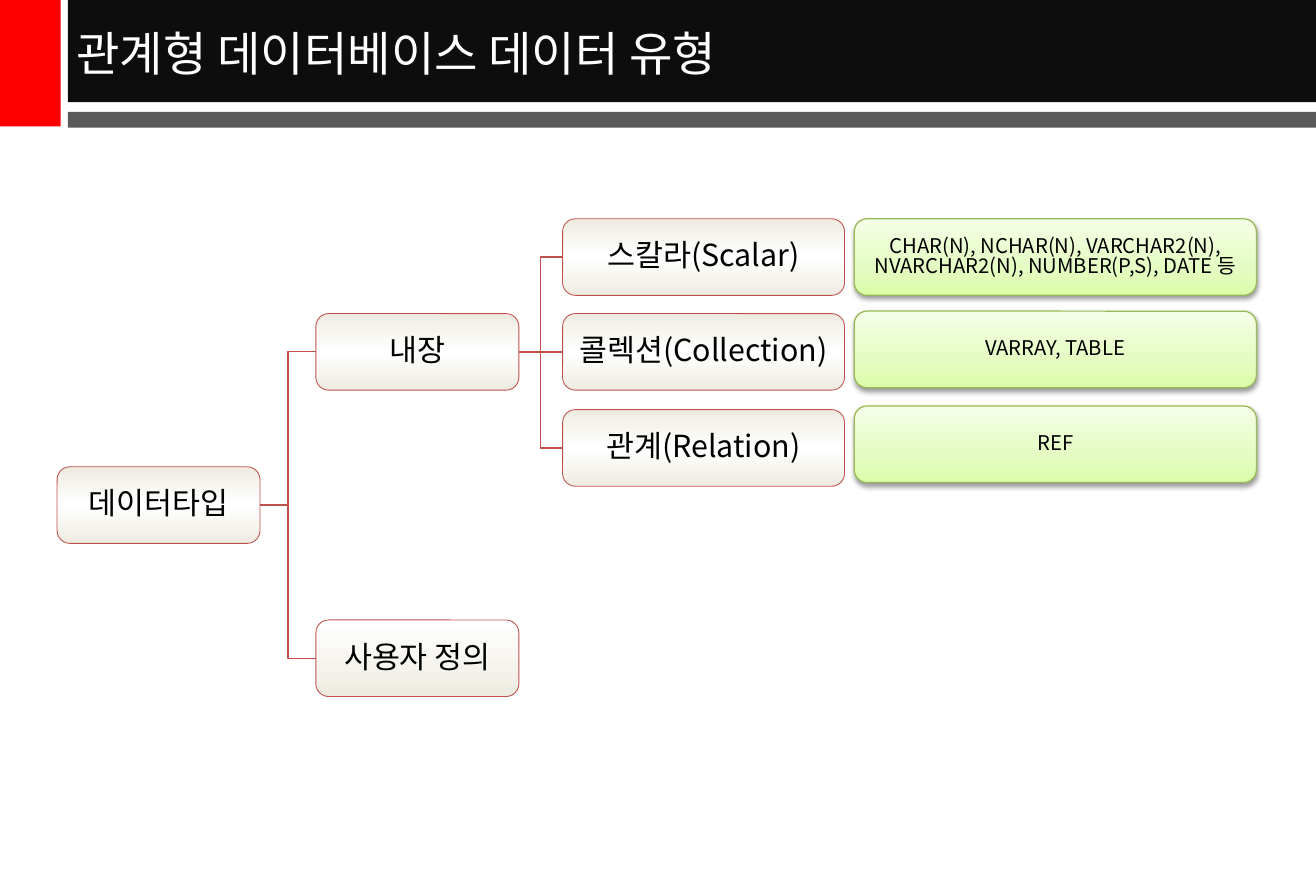
from lxml import etree
from pptx import Presentation
from pptx.dml.color import RGBColor
from pptx.enum.shapes import MSO_CONNECTOR as Link, MSO_SHAPE as Shape
from pptx.enum.text import MSO_ANCHOR as Anchor, PP_ALIGN as Align
from pptx.oxml.ns import qn
from pptx.util import Inches, Pt

FONT = "Noto Sans CJK KR"
RED, GREEN = "C0504D", "98B955"
BEIGE_BAND = [(0, "EEECE1"), (50, "FFFFFF"), (100, "EEECE1")]
BEIGE_FADE = [(0, "FFFFFF"), (100, "EEECE1")]
GREEN_FADE = [(0, "DAFDA7"), (35, "E4FCC2"), (100, "F5FFE7")]
rgb = RGBColor.from_string


def write(frame, text, size=18, color="000000", align=Align.CENTER, spacing=0.9):
    frame.vertical_anchor = Anchor.MIDDLE
    frame.text = text
    for para in frame.paragraphs:
        para.alignment = align
        para.line_spacing = spacing
        for span in para.runs:
            span.font.size = Pt(size)
            span.font.name = FONT
            span.font.color.rgb = rgb(color)
            etree.SubElement(span.font._element, qn("a:ea"), typeface=FONT)


def add_box(text, left, top, width, stops, angle, line, line_width, **text_format):
    box = slide.shapes.add_shape(Shape.ROUNDED_RECTANGLE, Inches(left), Inches(top),
                                 Inches(width), Inches(0.63))
    box.shadow.inherit = False
    box.line.color.rgb = rgb(line)
    box.line.width = Pt(line_width)
    box.fill.gradient()
    gradient = box._element.spPr.find(qn("a:gradFill"))
    gradient.find(qn("a:lin")).set("ang", str(angle * 60000))
    stop_list = gradient.find(qn("a:gsLst"))
    stop_list.clear()
    for position, color in stops:
        stop = etree.SubElement(stop_list, qn("a:gs"), pos=str(position * 1000))
        etree.SubElement(stop, qn("a:srgbClr"), val=color)
    frame = box.text_frame
    frame.margin_left = frame.margin_right = frame.margin_top = frame.margin_bottom = 0
    frame.word_wrap = False
    write(frame, text, **text_format)
    return box


deck = Presentation()
deck.slide_width, deck.slide_height = Inches(10.83), Inches(7.28)
slide = deck.slides.add_slide(deck.slide_layouts[5])

# Header bars
for left, top, width, height, color in [(0, 0, 0.5, 1.04, "FF0000"),
                                        (0.56, 0, 10.27, 0.84, "0D0D0D"),
                                        (0.56, 0.92, 10.27, 0.13, "595959")]:
    bar = slide.shapes.add_shape(Shape.RECTANGLE, Inches(left), Inches(top),
                                 Inches(width), Inches(height))
    bar.shadow.inherit = False
    bar.fill.solid()
    bar.fill.fore_color.rgb = rgb(color)
    bar.line.fill.background()

# Title, raised above the bars
title = slide.shapes.title
title.left, title.top = Inches(0.53), Inches(0.02)
title.width, title.height = Inches(10.3), Inches(0.82)
write(title.text_frame, "관계형 데이터베이스 데이터 유형", size=28, color="FFFFFF",
      align=Align.LEFT, spacing=1.0)
slide.shapes._spTree.append(title._element)

# Type tree: name, left, top, width, gradient, parent
nodes = {}
for name, left, top, width, stops, parent in [
        ("데이터타입", 0.47, 3.84, 1.67, BEIGE_BAND, None),
        ("내장", 2.6, 2.58, 1.67, BEIGE_BAND, "데이터타입"),
        ("사용자 정의", 2.6, 5.1, 1.67, BEIGE_FADE, "데이터타입"),
        ("스칼라(Scalar)", 4.63, 1.8, 2.32, BEIGE_BAND, "내장"),
        ("콜렉션(Collection)", 4.63, 2.58, 2.32, BEIGE_BAND, "내장"),
        ("관계(Relation)", 4.63, 3.37, 2.32, BEIGE_BAND, "내장")]:
    nodes[name] = add_box(name, left, top, width, stops, 90, RED, 0.5)
    if parent:
        source, target = nodes[parent], nodes[name]
        kind = Link.STRAIGHT if source.top == target.top else Link.ELBOW
        branch = slide.shapes.add_connector(kind, 0, 0, 0, 0)
        branch.begin_connect(source, 3)
        branch.end_connect(target, 1)
        branch.line.color.rgb = rgb(RED)
        branch.line.width = Pt(0.75)
        etree.SubElement(branch._element.spPr, qn("a:effectLst"))

# Example types beside each built-in kind, with a soft shadow
for text, top in [("CHAR(N), NCHAR(N), VARCHAR2(N),\nNVARCHAR2(N), NUMBER(P,S), DATE 등", 1.8),
                  ("VARRAY, TABLE", 2.56),
                  ("REF", 3.34)]:
    example = add_box(text, 7.03, top, 3.31, GREEN_FADE, 270, GREEN, 0.75,
                      size=12, spacing=0.82)
    effects = example._element.spPr.find(qn("a:effectLst"))
    shadow = etree.SubElement(effects, qn("a:outerShdw"), blurRad=str(Pt(3.1)),
                              dist=str(Pt(1.6)), dir="5400000", rotWithShape="0")
    shade = etree.SubElement(shadow, qn("a:srgbClr"), val="000000")
    etree.SubElement(shade, qn("a:alpha"), val="38000")

deck.save("out.pptx")
